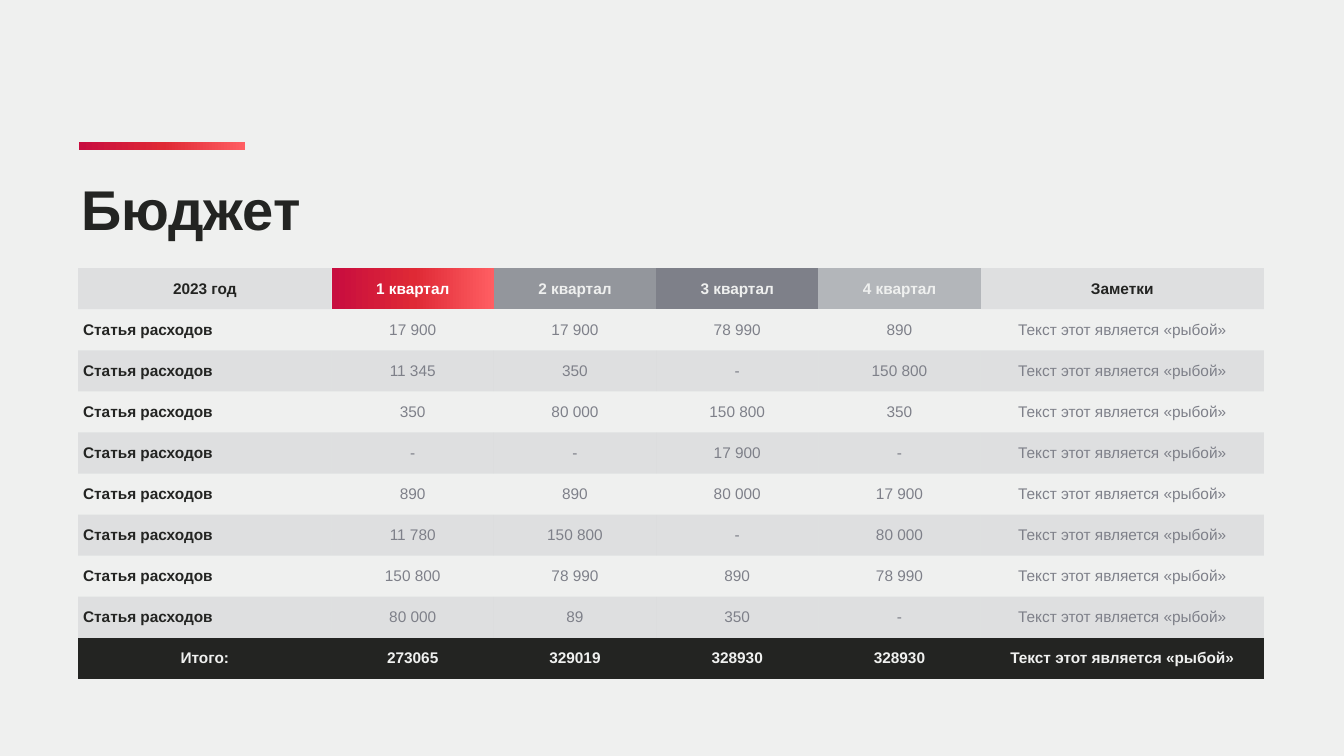
from dataclasses import dataclass

from lxml import etree
from pptx import Presentation
from pptx.dml import color, fill as fills
from pptx.enum import shapes, text
from pptx.oxml import ns
from pptx.util import Inches, Pt

INK, PALE, WHITE = "232422", "EFF0EF", "FFFFFF"
GREY, STEEL, MIST = "7E8089", "93969C", "B3B6BA"
BLEND = ((1, "C80D3F"), (51, "DF2935"), (100, "FF5E62"))
NO_STYLE = "{2D5ABB26-0587-4C30-8999-92F81FD0307C}"
PAD = 0.06
WIDTHS = (5.03, 3.22, 3.22, 3.22, 3.22, 5.62)
HEIGHT = 0.815
ITEM, NOTE = "Статья расходов", "Текст этот является «рыбой»"
COSTS = (
    ("17 900", "17 900", "78 990", "890"),
    ("11 345", "350", "-", "150 800"),
    ("350", "80 000", "150 800", "350"),
    ("-", "-", "17 900", "-"),
    ("890", "890", "80 000", "17 900"),
    ("11 780", "150 800", "-", "80 000"),
    ("150 800", "78 990", "890", "78 990"),
    ("80 000", "89", "350", "-"),
)
TOTALS = ("Итого:", "273065", "329019", "328930", "328930", NOTE)


@dataclass(frozen=True)
class Look:
    ink: str
    fill: str = ""
    alpha: int = 100
    bold: bool = True
    left: bool = False


def rgb(code: str) -> color.RGBColor:
    return color.RGBColor.from_string(code)


def tint(fill: fills.FillFormat, node, code: str, alpha: int) -> None:
    fill.solid()
    fill.fore_color.rgb = rgb(code)
    if alpha < 100:
        tone = next(node.iter(ns.qn("a:srgbClr")))
        etree.SubElement(tone, ns.qn("a:alpha"), val=str(alpha * 1000))


def blend(fill: fills.FillFormat, node) -> None:
    fill.gradient()
    fill.gradient_angle = 0
    stops = next(node.iter(ns.qn("a:gsLst")))
    stops.clear()
    for place, code in BLEND:
        stop = etree.SubElement(stops, ns.qn("a:gs"), pos=str(place * 1000))
        etree.SubElement(stop, ns.qn("a:srgbClr"), val=code)


def write(frame, words: str, size: int, ink: str, bold: bool) -> None:
    line = frame.paragraphs[0]
    line.text = words
    line.font.name = "Arial"
    line.font.size = Pt(size)
    line.font.bold = bold
    line.font.color.rgb = rgb(ink)


def draw_cell(cell, words: str, look: Look) -> None:
    write(cell.text_frame, words, 22, look.ink, look.bold)
    align = text.PP_ALIGN.LEFT if look.left else text.PP_ALIGN.CENTER
    cell.text_frame.paragraphs[0].alignment = align
    cell.vertical_anchor = text.MSO_ANCHOR.MIDDLE
    cell.margin_left = cell.margin_right = Inches(0.1 if look.left else PAD)
    cell.margin_top = cell.margin_bottom = Inches(0.05 if look.left else PAD)
    if look.fill == "blend":
        blend(cell.fill, cell._tc.tcPr)
    elif look.fill:
        tint(cell.fill, cell._tc.tcPr, look.fill, look.alpha)
    else:
        cell.fill.background()


def plan() -> list[list[tuple[str, Look]]]:
    side = Look(INK, MIST, 28)
    rows = [[
        ("2023 год", side),
        ("1 квартал", Look(WHITE, "blend")),
        ("2 квартал", Look(PALE, STEEL)),
        ("3 квартал", Look(PALE, GREY)),
        ("4 квартал", Look(PALE, MIST)),
        ("Заметки", side),
    ]]
    for i, costs in enumerate(COSTS):
        band = MIST if i % 2 else ""
        item = Look(INK, band, 28, left=True)
        body = Look(GREY, band, 28, bold=False)
        rows.append([(ITEM, item)] + [(words, body) for words in (*costs, NOTE)])
    rows.append([(words, Look(PALE, INK)) for words in TOTALS])
    return rows


def draw_table(slide) -> None:
    rows = plan()
    frame = slide.shapes.add_table(
        len(rows), len(WIDTHS), Inches(1.55), Inches(5.32),
        Inches(sum(WIDTHS)), Inches(HEIGHT * len(rows)))
    next(frame.element.iter(ns.qn("a:tableStyleId"))).text = NO_STYLE
    table = frame.table
    table.first_row = table.horz_banding = False
    for col, width in zip(table.columns, WIDTHS):
        col.width = Inches(width)
    for r, row in enumerate(rows):
        table.rows[r].height = Inches(HEIGHT)
        for c, (words, look) in enumerate(row):
            draw_cell(table.cell(r, c), words, look)


def draw_title(slide) -> None:
    box = slide.shapes.add_textbox(
        Inches(1.55), Inches(3.41), Inches(18.91), Inches(1.46))
    frame = box.text_frame
    frame.word_wrap = True
    frame.margin_left = frame.margin_right = Inches(PAD)
    frame.margin_top = frame.margin_bottom = Inches(PAD)
    write(frame, "Бюджет", 80, INK, True)


def draw_bar(slide) -> None:
    bar = slide.shapes.add_shape(
        shapes.MSO_SHAPE.RECTANGLE,
        Inches(1.56), Inches(2.82), Inches(3.3), Inches(0.16))
    bar.shadow.inherit = False
    bar.line.fill.background()
    blend(bar.fill, bar.element)


def main() -> None:
    deck = Presentation()
    deck.slide_width, deck.slide_height = Inches(26.67), Inches(15)
    slide = deck.slides.add_slide(deck.slide_layouts[6])
    slide.background.fill.solid()
    slide.background.fill.fore_color.rgb = rgb(PALE)
    draw_title(slide)
    draw_table(slide)
    draw_bar(slide)
    deck.save("out.pptx")


if __name__ == "__main__":
    main()
